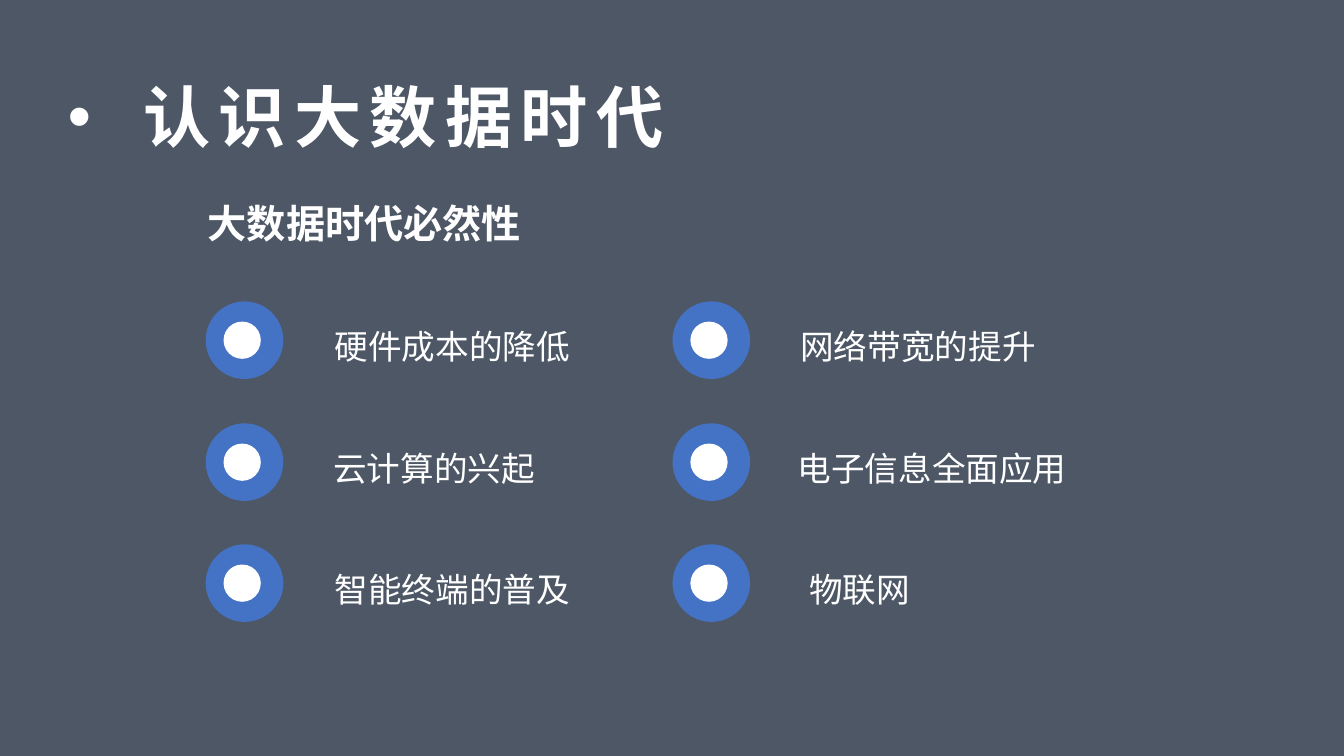
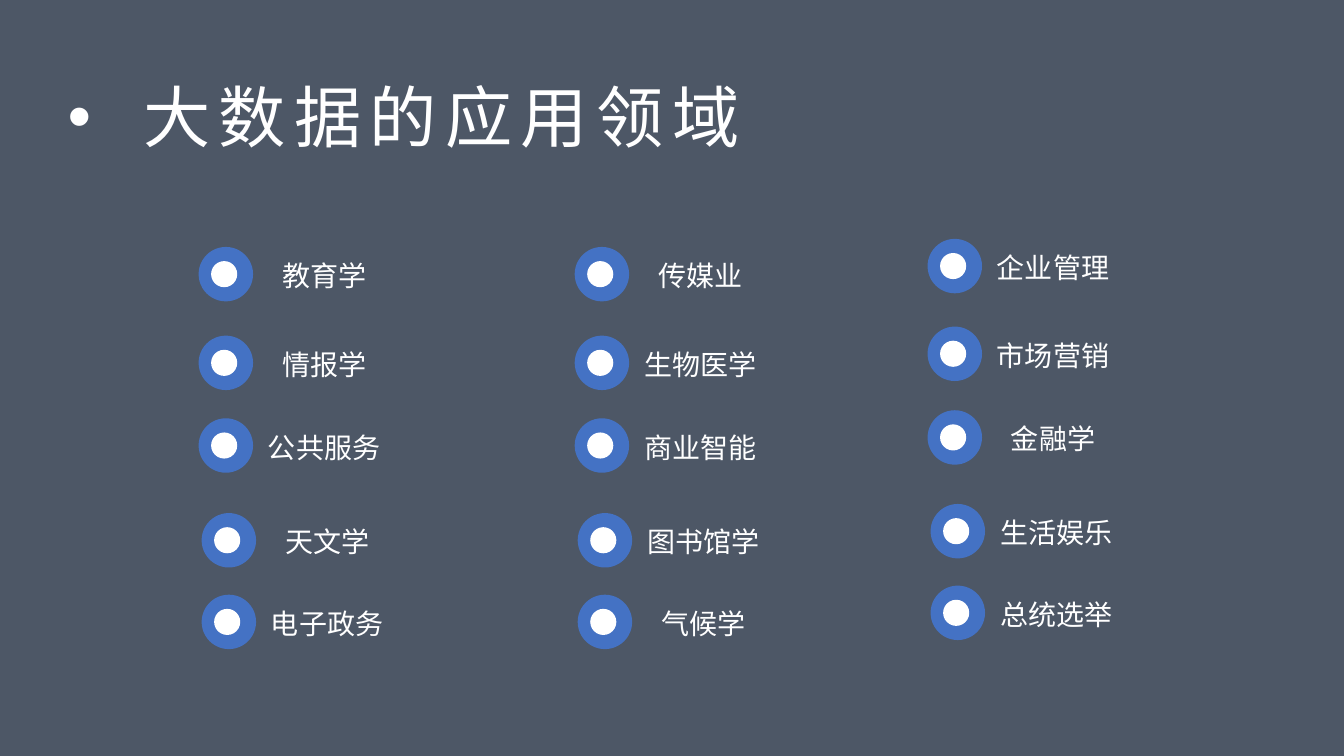
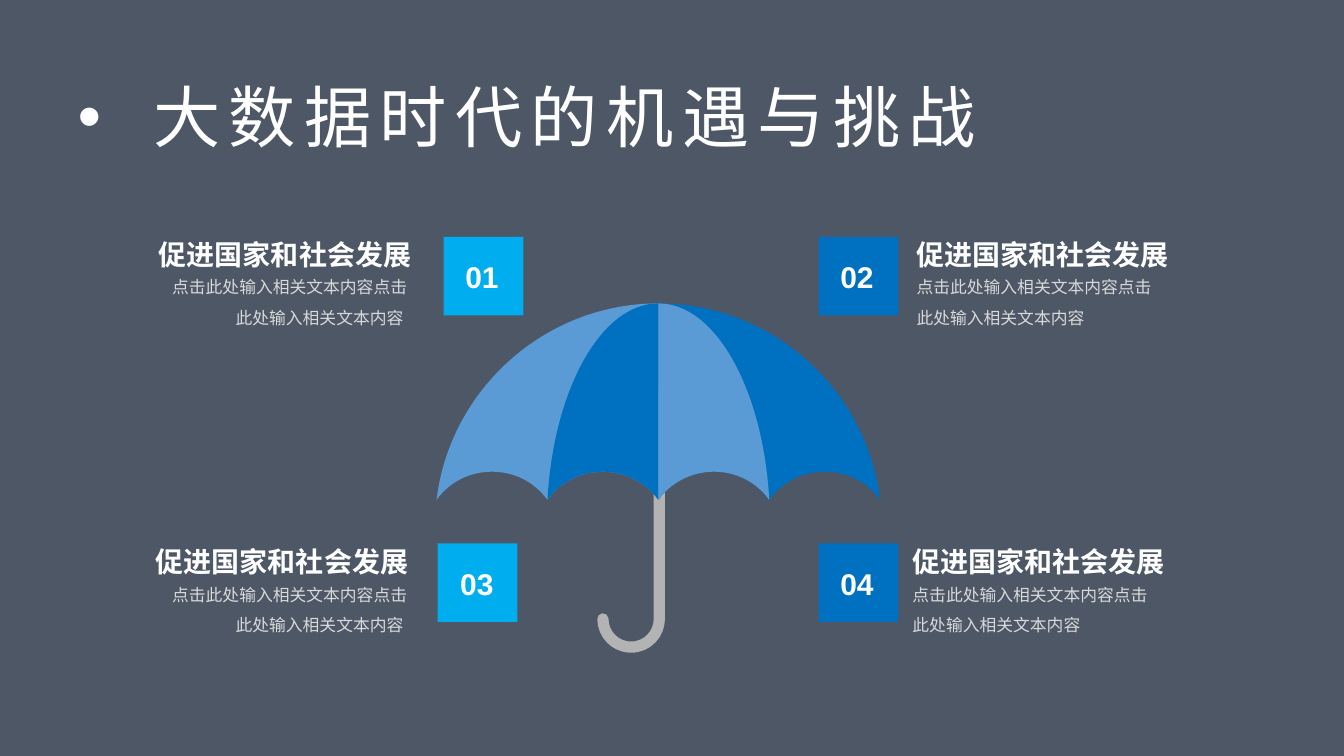
from lxml.etree import SubElement as Sub
from pptx import Presentation as Deck
from pptx.dml.color import RGBColor as Rgb
from pptx.enum.shapes import MSO_SHAPE as Kind
from pptx.enum.text import MSO_ANCHOR as Anchor, MSO_AUTO_SIZE as Fit, PP_ALIGN as Align
from pptx.oxml.ns import qn
from pptx.util import Inches, Pt

CJK = "Noto Sans CJK SC"
LOOK = {
    "ink": {
        "back": "333F50", "white": "FFFFFF", "ring": "4472C4", "grey": "D9D9D9",
        "stick": "B3B3B3", "deep": "0070C0", "pale": "5B9BD5", "cyan": "00AEEF",
    },
    "type": {
        "title": {"size": Pt(48), "name": CJK},
        "lead": {"size": Pt(28), "name": CJK, "bold": True},
        "large": {"size": Pt(24), "name": CJK},
        "small": {"size": Pt(20), "name": CJK},
        "head": {"size": Pt(20), "name": CJK, "bold": True},
        "body": {"size": Pt(12), "name": CJK},
        "count": {"size": Pt(21.4), "name": "Arial", "bold": True},
    },
}
INK = {name: Rgb.from_string(code) for name, code in LOOK["ink"].items()}


def write(slide, box, text, style, ink="white", align=None, space=1.2,
          inset=(0.1, 0.05), fit=Fit.SHAPE_TO_FIT_TEXT, anchor=Anchor.TOP):
    frame = slide.shapes.add_textbox(*map(Inches, box)).text_frame
    side, edge = map(Inches, inset)
    form = {
        "word_wrap": True, "auto_size": fit, "vertical_anchor": anchor,
        "margin_left": side, "margin_right": side,
        "margin_top": edge, "margin_bottom": edge,
    }
    for key, val in form.items():
        setattr(frame, key, val)
    para = frame.paragraphs[0]
    para.alignment, para.line_spacing = align, space
    run = para.add_run()
    run.text = text
    for key, val in LOOK["type"][style].items():
        setattr(run.font, key, val)
    run.font.color.rgb = INK[ink]
    Sub(run._r.get_or_add_rPr(), qn("a:ea"), typeface=LOOK["type"][style]["name"])
    return para


def paint(shape, ink):
    shape.shadow.inherit = False
    shape.line.fill.background()
    if ink:
        shape.fill.solid()
        shape.fill.fore_color.rgb = INK[ink]
    else:
        shape.fill.background()
    return shape


deck = Deck()
deck.slide_width, deck.slide_height = Inches(13.33), Inches(7.5)

slides = []
for text, left, width, bold in [
    ("认识大数据时代", 0.67, 6.75, True),
    ("大数据的应用领域", 0.67, 7.97, False),
    ("大数据时代的机遇与挑战", 0.77, 10.6, False),
]:
    slide = deck.slides.add_slide(deck.slide_layouts[6])
    para = write(slide, (left, 0.75, width, 0.81), text, "title", space=None, inset=(0, 0))
    prop = para._p.get_or_add_pPr()
    prop.set("marL", str(Inches(0.75)))
    prop.set("indent", str(-Inches(0.75)))
    Sub(prop, qn("a:buFont"), typeface="Arial")
    Sub(prop, qn("a:buChar"), char="•")
    para.runs[0].font.bold = bold
    para.runs[0]._r.get_or_add_rPr().set("spc", "600")
    slides.append(slide)
causes, fields, chances = slides

veil = paint(causes.shapes.add_shape(
    Kind.RECTANGLE, 0, 0, deck.slide_width, deck.slide_height), "back")
tint = veil._element.spPr.find(qn("a:solidFill")).find(qn("a:srgbClr"))
Sub(tint, qn("a:alpha"), val="87000")
deck.slide_master.shapes._spTree.insert(2, veil._element)

write(causes, (1.86, 1.83, 3.51, 0.62), "大数据时代必然性", "lead", align=Align.CENTER)

marks = []
for left, column in [
    (2.04, [("硬件成本的降低", 2.99), ("云计算的兴起", 2.81), ("智能终端的普及", 2.99)]),
    (6.67, [("网络带宽的提升", 7.61), ("电子信息全面应用", 7.75), ("物联网", 7.03)]),
]:
    for top, (text, start) in zip([2.99, 4.2, 5.4], column):
        marks.append((causes, left, top, 0.77, text, "large", (start, top + 0.11, 2.99, 0.55)))

tops = [2.45, 3.33, 4.15, 5.09, 5.9]
high = [2.37, 3.24, 4.07, 5, 5.81]
for left, rows, column in [
    (1.97, tops, ["教育学", "情报学", "公共服务", "天文学", "电子政务"]),
    (5.7, tops, ["传媒业", "生物医学", "商业智能", "图书馆学", "气候学"]),
    (9.2, high, ["企业管理", "市场营销", "金融学", "生活娱乐", "总统选举"]),
]:
    for row, (text, top) in enumerate(zip(column, rows)):
        x = left + (0.03 if row > 2 else 0)
        marks.append((fields, x, top, 0.54, text, "small", (x + 0.51, top, 1.47, 0.48)))

for slide, left, top, size, text, style, box in marks:
    group = slide.shapes.add_group_shape()
    for ink, x, y, part in [("ring", 0, 0, 1), ("white", 0.23, 0.26, 0.48)]:
        paint(group.shapes.add_shape(
            Kind.OVAL, Inches(left + x * size), Inches(top + y * size),
            Inches(part * size), Inches(part * size)), ink)
    write(slide, box, text, style, align=Align.CENTER)

HUB, PEAK = 6.53, 3.01
inner = [(0, 1.95), (0.12, 1.78, 0.33, 1.67, 0.55, 1.67), (0.78, 1.67, 0.98, 1.78, 1.1, 1.95)]
outer = [(1.22, 1.78, 1.42, 1.67, 1.65, 1.67), (1.88, 1.67, 2.08, 1.78, 2.2, 1.95)]
half = inner + outer + [(2.07, 0.86, 1.13, 0, 0, 0)]
panel = inner + [(1.04, 0.86, 0.57, 0, 0, 0)]
stick = [(-0.55, 3.28, -0.43, 3.41, -0.27, 3.41), (-0.11, 3.41, 0.01, 3.28, 0.01, 3.13),
         (0.01, 0.88)]
group = chances.shapes.add_group_shape()
for ink, side, start, route in [
    (None, 1, (-0.55, 3.13), stick),
    ("deep", 1, (0, 0), half),
    ("pale", -1, (0, 0), half),
    ("deep", -1, (0, 0), panel),
    ("pale", 1, (0, 0), panel),
]:
    dots = [(Inches(HUB + side * x), Inches(PEAK + y))
            for leg in [start] + route for x, y in zip(leg[::2], leg[1::2])]
    form = group.shapes.build_freeform(*dots[0])
    form.add_line_segments(dots[1:], close=bool(ink))
    shape = paint(form.convert_to_shape(), ink)
    lines = iter(list(shape._element.iter(qn("a:lnTo"))))
    for leg in route:
        first = next(lines)
        if len(leg) == 6:
            first.tag = qn("a:cubicBezTo")
            for _ in range(2):
                line = next(lines)
                first.append(line[0])
                line.getparent().remove(line)
    if not ink:
        shape.line.color.rgb = INK["stick"]
        shape.line.width = Pt(8)
        shape.line._get_or_add_ln().set("cap", "rnd")

for count, ink, left, mid, top, head, body, high, align in [
    ("01", "cyan", 4.4, 4.46, 2.35, 1.14, 1.55, 2.18, Align.RIGHT),
    ("02", "deep", 8.12, 8.18, 2.35, 9.09, 9.09, 2.18, Align.LEFT),
    ("03", "cyan", 4.34, 4.41, 5.39, 1.11, 1.55, 5.23, Align.RIGHT),
    ("04", "deep", 8.12, 8.18, 5.39, 9.05, 9.05, 5.23, Align.LEFT),
]:
    tile = chances.shapes.add_shape(
        Kind.ROUNDED_RECTANGLE, Inches(left), Inches(top), Inches(0.79), Inches(0.78))
    tile.adjustments[0] = 0
    paint(tile, ink)
    write(chances, (mid, top + 0.1, 0.64, 0.52), count, "count", align=Align.CENTER,
          inset=(0, 0.11), fit=Fit.NONE, anchor=Anchor.MIDDLE)
    write(chances, (head, high, 2.94, 0.37), "促进国家和社会发展", "head",
          align=align, inset=(0, 0.11), fit=Fit.NONE)
    tail = " " if align == Align.RIGHT else ""
    write(chances, (body, high + 0.47, 2.49, 0.63), "点击此处输入相关文本内容" * 2 + tail, "body",
          ink="grey", align=align, space=1.5, inset=(0, 0), fit=Fit.NONE)

deck.save("out.pptx")
